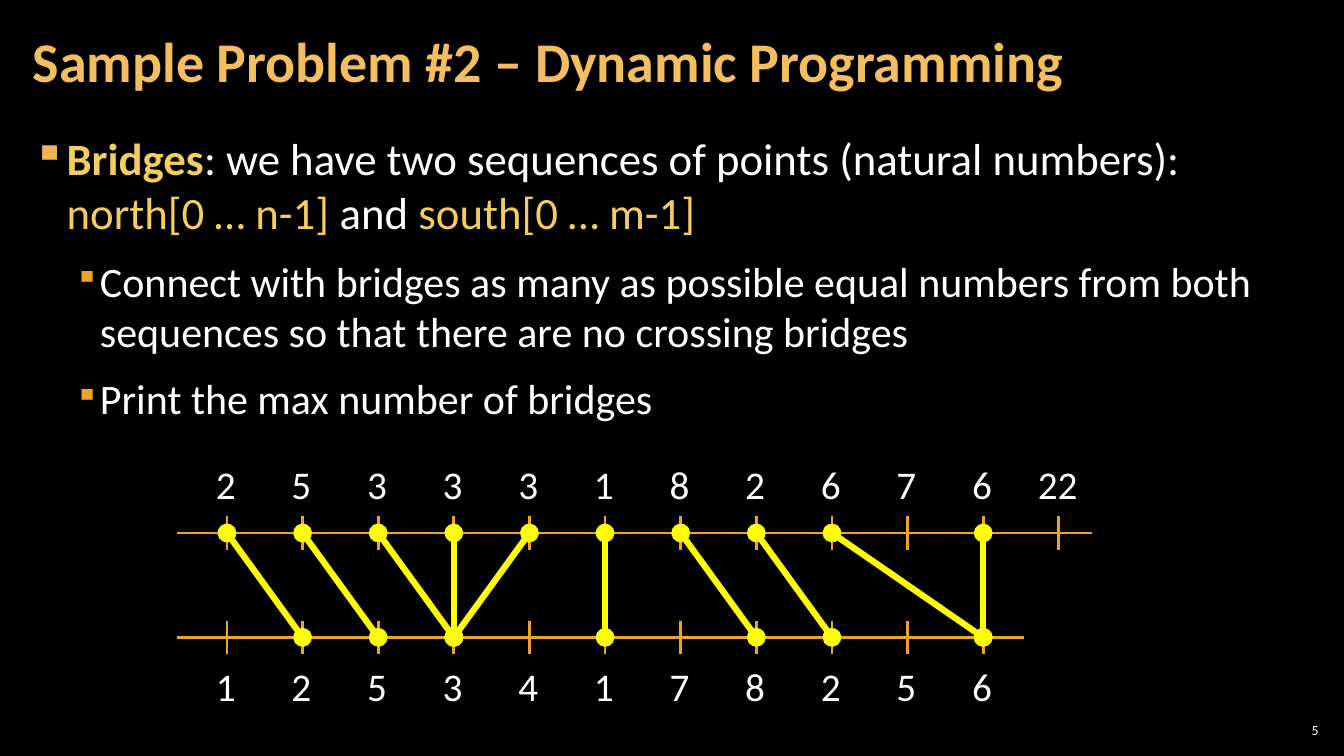
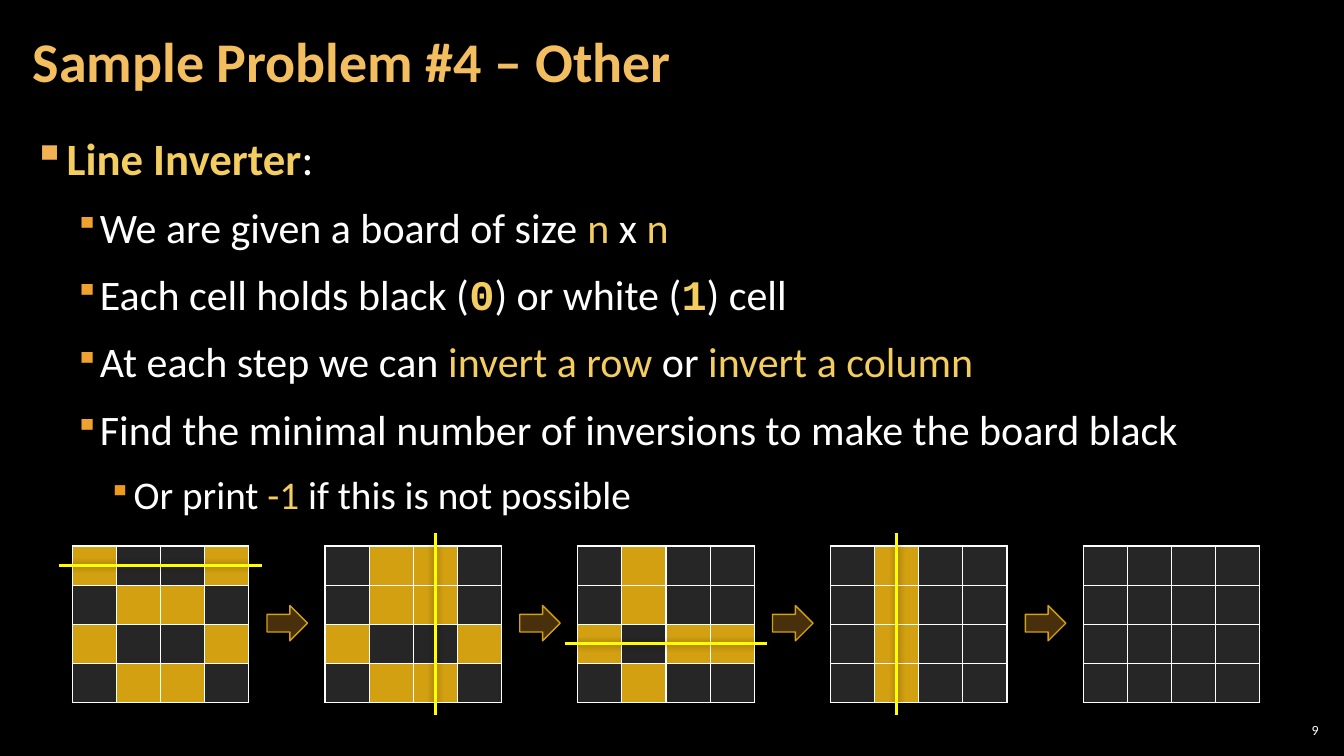
from lxml.etree import SubElement
from pptx import Presentation
from pptx.dml.color import RGBColor
from pptx.enum.shapes import MSO_CONNECTOR as Connector, MSO_SHAPE as Preset
from pptx.enum.text import MSO_ANCHOR as Anchor, PP_ALIGN as Align
from pptx.oxml.ns import qn
from pptx.util import Cm, Pt

BACKGROUND = "000000"
WHITE = "FFFFFF"
TITLE_GOLD = "F3BE60"
ACCENT = "F3CD60"
ORANGE = "F0A22E"
YELLOW = "FFFF00"
LIT = "D2A010"
DARK = "262626"
FONT = "Calibri"

KEY = {"color": ACCENT}
STRONG = {"color": ACCENT, "bold": True}
CODE = {"color": ACCENT, "bold": True, "font": "Courier New"}
LEVELS = [
    {"size": 32, "indent": 0.85, "hang": 0.85, "bullet": "F2B254", "scale": 100},
    {"size": 30, "indent": 1.69, "hang": 0.64, "bullet": ORANGE, "scale": 80},
    {"size": 28, "indent": 2.54, "hang": 0.64, "bullet": "EF9A1D", "scale": 80},
]

TITLE_BOX = (0.53, 0.1, 26.6, 3.07)
BODY_BOX = (0.53, 3.2, 32.8, 15.47)
NUMBER_BOX = (32.13, 18.14, 1.2, 0.53)


def rgb(color):
    return RGBColor.from_string(color)


def add_xml(parent, tag, **attributes):
    return SubElement(parent, qn(tag), attributes)


def add_run(paragraph, text, size=28, color=WHITE, bold=False, font=FONT):
    run = paragraph.add_run()
    run.text = text
    run.font.size = Pt(size)
    run.font.bold = bold
    run.font.name = font
    run.font.color.rgb = rgb(color)


def text_frame(shapes, box, anchor=Anchor.TOP, side=0.3, edge=0.1):
    frame = shapes.add_textbox(*map(Cm, box)).text_frame
    frame.word_wrap = True
    frame.vertical_anchor = anchor
    frame.margin_left = frame.margin_right = Cm(side)
    frame.margin_top = frame.margin_bottom = Cm(edge)
    return frame


def add_text(shapes, box, text, anchor=Anchor.TOP, side=0.3, edge=0.1,
             align=Align.LEFT, spacing=None, **style):
    paragraph = text_frame(shapes, box, anchor, side, edge).paragraphs[0]
    paragraph.alignment = align
    paragraph.line_spacing = spacing
    add_run(paragraph, text, **style)


def add_line(shapes, start, end, color, width, ovals=False, shadow=False):
    line = shapes.add_connector(Connector.STRAIGHT, *map(Cm, start + end))
    line.line.color.rgb = rgb(color)
    line.line.width = Pt(width)
    if ovals:
        outline = line.line._get_or_add_ln()
        add_xml(outline, "a:headEnd", type="oval")
        add_xml(outline, "a:tailEnd", type="oval")
    effects = add_xml(line._element.spPr, "a:effectLst")
    if shadow:
        outer = add_xml(effects, "a:outerShdw", blurRad=str(Pt(5)),
                        dist="0", dir="0", rotWithShape="0")
        tint = add_xml(outer, "a:srgbClr", val=BACKGROUND)
        add_xml(tint, "a:alpha", val="40000")


def format_bullet(paragraph, level):
    paragraph.space_before = paragraph.space_after = Pt(6)
    properties = paragraph._p.get_or_add_pPr()
    properties.set("marL", str(Cm(level["indent"])))
    properties.set("indent", str(-Cm(level["hang"])))
    color = add_xml(properties, "a:buClr")
    add_xml(color, "a:srgbClr", val=level["bullet"])
    add_xml(properties, "a:buSzPct", val=str(level["scale"] * 1000))
    add_xml(properties, "a:buChar", char="▪")


def add_bullets(shapes, box, items):
    frame = text_frame(shapes, box)
    for index, (depth, *pieces) in enumerate(items):
        paragraph = frame.add_paragraph() if index else frame.paragraphs[0]
        paragraph.level = depth
        format_bullet(paragraph, LEVELS[depth])
        for piece in pieces:
            text, style = (piece, {}) if isinstance(piece, str) else piece
            add_run(paragraph, text, size=LEVELS[depth]["size"], **style)


def new_slide(presentation, title, number, items):
    slide = presentation.slides.add_slide(presentation.slide_layouts[6])
    slide.background.fill.solid()
    slide.background.fill.fore_color.rgb = rgb(BACKGROUND)
    add_text(slide.shapes, NUMBER_BOX, number, anchor=Anchor.MIDDLE, side=0.1,
             align=Align.RIGHT, size=10)
    add_bullets(slide.shapes, BODY_BOX, items)
    add_text(slide.shapes, TITLE_BOX, title, anchor=Anchor.MIDDLE,
             spacing=0.9, size=40, color=TITLE_GOLD, bold=True)
    return slide


def add_axis(shapes, left, y, length, ticks, numbers, label_top):
    add_line(shapes, (left, y), (left + length, y), ORANGE, 2)
    for x, number in zip(ticks, numbers):
        add_line(shapes, (x, y - 0.42), (x, y + 0.42), ORANGE, 2)
        add_text(shapes, (x - 0.78, label_top, 1.5, 1.45), str(number),
                 side=0, edge=0.13, align=Align.CENTER)


def draw_bridges(slide, box, north, south, bridges):
    left, top, width, height = box
    shapes = slide.shapes.add_group_shape().shapes
    pitch = width / 12.1
    ticks = [left + 1.27 + pitch * index for index in range(len(north))]
    north_y, south_y = top + 1.97, top + height - 1.95
    add_axis(shapes, left, north_y, width, ticks, north, top)
    add_axis(shapes, left, south_y, width - 1.7, ticks, south,
             top + height - 1.45)
    for start, end in bridges:
        add_line(shapes, (ticks[start], north_y), (ticks[end], south_y),
                 YELLOW, 4.5, ovals=True)


def invert(board, axis, index):
    return [[cell ^ (index == (row if axis == "row" else column))
             for column, cell in enumerate(cells)]
            for row, cells in enumerate(board)]


def fill_cell(cell, color):
    cell.margin_top = cell.margin_bottom = 0
    properties = cell._tc.get_or_add_tcPr()
    for side in ("a:lnL", "a:lnR", "a:lnT", "a:lnB"):
        border = add_xml(properties, side, w=str(Pt(1)))
        add_xml(add_xml(border, "a:solidFill"), "a:srgbClr", val=WHITE)
    cell.fill.solid()
    cell.fill.fore_color.rgb = rgb(color)


def draw_board(slide, box, board):
    size = len(board)
    table = slide.shapes.add_table(size, size, *map(Cm, box)).table
    for row, cells in enumerate(board):
        for column, lit in enumerate(cells):
            fill_cell(table.cell(row, column), LIT if lit else DARK)


def draw_move(slide, box, size, axis, index):
    left, top, width, height = box
    overhang = 0.33
    if axis == "row":
        y = top + height * (index + 0.5) / size
        start, end = (left - overhang, y), (left + width + overhang, y)
    else:
        x = left + width * (index + 0.5) / size
        start, end = (x, top - overhang), (x, top + height + overhang)
    add_line(slide.shapes, start, end, YELLOW, 2, shadow=True)


def draw_arrow(slide, box):
    arrow = slide.shapes.add_shape(Preset.RIGHT_ARROW, *map(Cm, box))
    arrow.shadow.inherit = False
    arrow.fill.solid()
    arrow.fill.fore_color.rgb = rgb(ORANGE)
    tint = arrow._element.spPr.find(qn("a:solidFill"))[0]
    add_xml(tint, "a:alpha", val="30000")
    arrow.line.color.rgb = rgb(LIT)
    arrow.line.width = Pt(1)


def draw_inversions(slide, box, board, moves):
    left, top, width, height = box
    board_width = 4.45
    pitch = (width - board_width) / len(moves)
    for step in range(len(moves) + 1):
        x = left + pitch * step
        board_box = (x, top, board_width, height)
        draw_board(slide, board_box, board)
        if step < len(moves):
            draw_move(slide, board_box, len(board), *moves[step])
            draw_arrow(slide, (x + 4.91, top + 1.5, 1.02, 0.89))
            board = invert(board, *moves[step])


def bridges_slide(presentation):
    slide = new_slide(presentation, "Sample Problem #2 – Dynamic Programming", "5", [
        (0, ("Bridges", STRONG),
         ": we have two sequences of points (natural numbers): ",
         ("north[0 … n-1]", KEY), " and ", ("south[0 … m-1]", KEY)),
        (1, "Connect with bridges as many as possible equal numbers from both "
            "sequences so that there are no crossing bridges"),
        (1, "Print the max number of bridges"),
    ])
    draw_bridges(slide, (4.45, 11.46, 23.06, 6.55),
                 [2, 5, 3, 3, 3, 1, 8, 2, 6, 7, 6, 22],
                 [1, 2, 5, 3, 4, 1, 7, 8, 2, 5, 6],
                 [(0, 1), (1, 2), (2, 3), (3, 3), (4, 3), (5, 5),
                  (6, 7), (7, 8), (8, 10), (10, 10)])


def inverter_slide(presentation):
    slide = new_slide(presentation, "Sample Problem #4 – Other", "9", [
        (0, ("Line Inverter", STRONG), ":"),
        (1, "We are given a board of size ", ("n", KEY), " x ", ("n", KEY)),
        (1, "Each cell holds black (", ("0", CODE), ") or white (",
         ("1", CODE), ") cell"),
        (1, "At each step we can ", ("invert a row ", KEY), "or ",
         ("invert a column", KEY)),
        (1, "Find the minimal number of inversions to make the board black"),
        (2, "Or print ", ("-1", KEY), " if this is not possible"),
    ])
    draw_inversions(slide, (1.82, 13.76, 29.93, 3.94),
                    [[1, 0, 0, 1], [0, 1, 1, 0]] * 2,
                    [("row", 0), ("column", 2), ("row", 2), ("column", 1)])


def main():
    presentation = Presentation()
    presentation.slide_width = Cm(33.87)
    presentation.slide_height = Cm(19.05)
    bridges_slide(presentation)
    inverter_slide(presentation)
    presentation.save("out.pptx")


if __name__ == "__main__":
    main()
